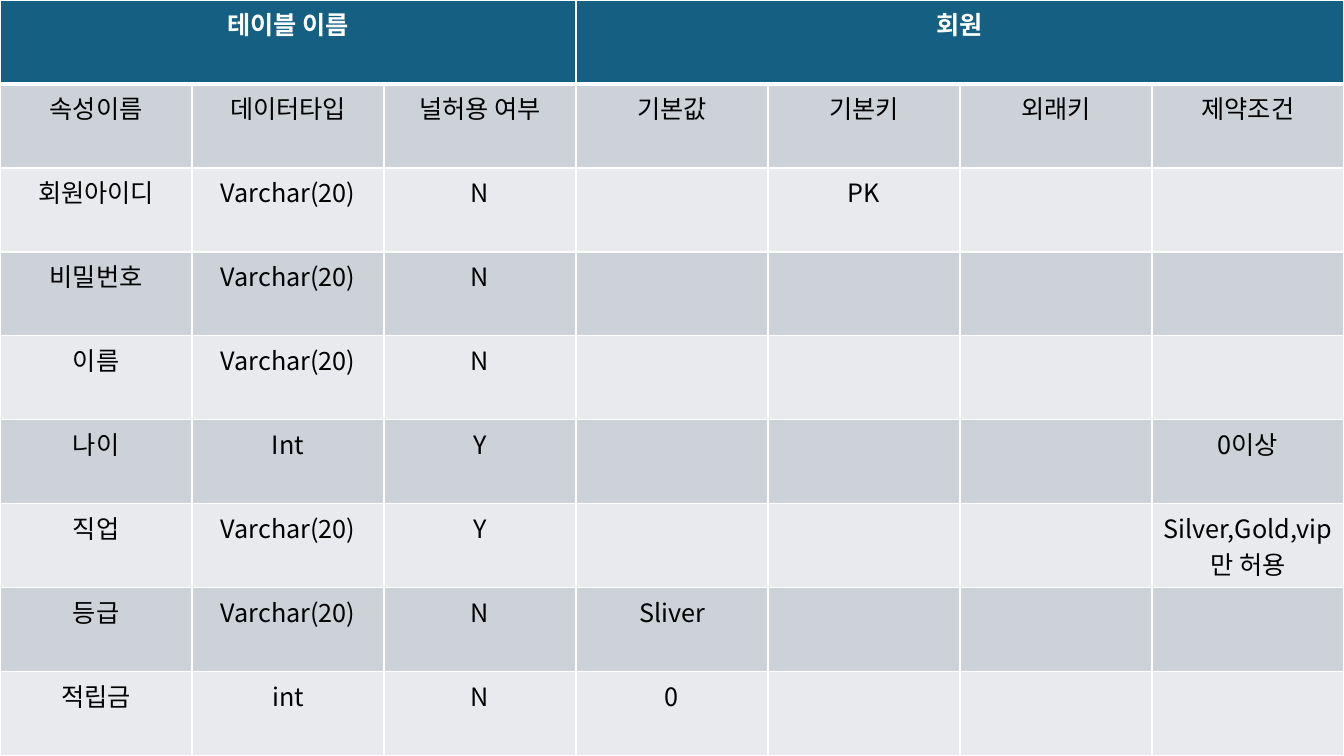
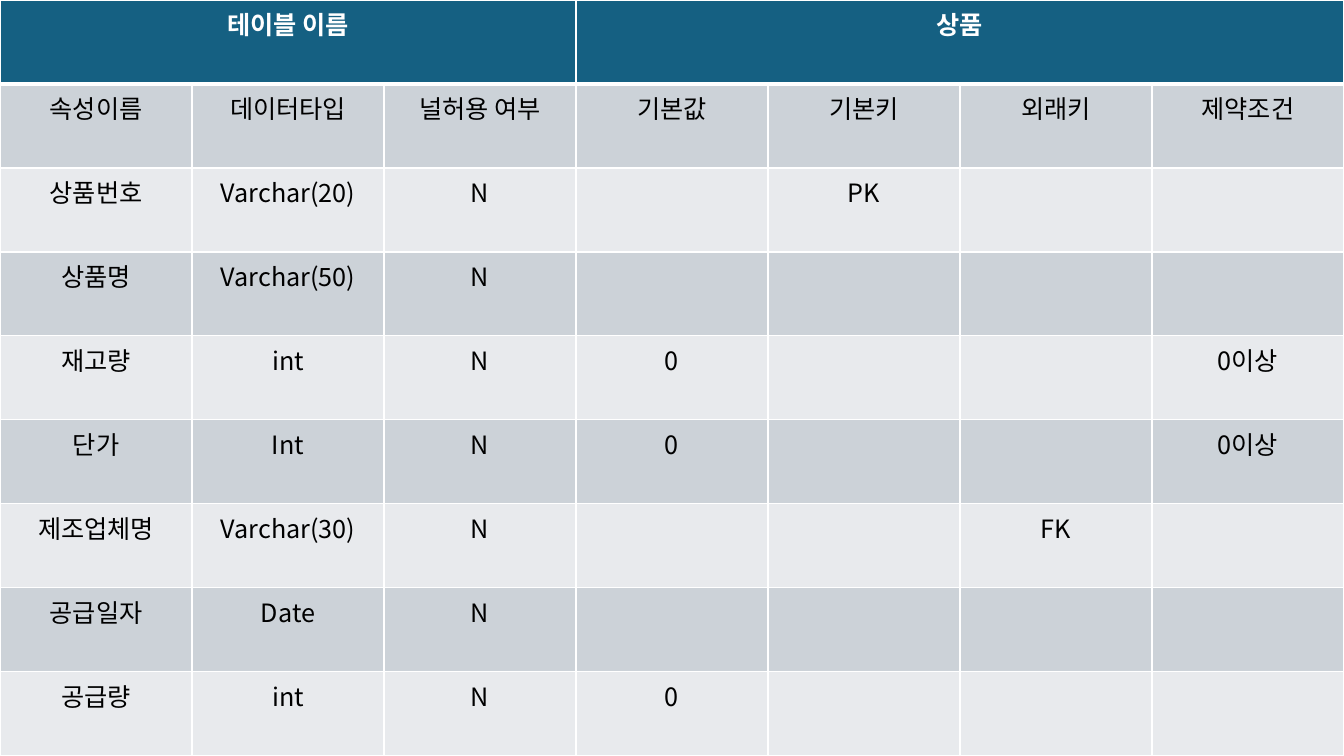
from dataclasses import dataclass
from itertools import cycle

from lxml import etree
from pptx import Presentation
from pptx import util as u
from pptx.dml import color
from pptx.enum import text
from pptx.oxml import ns


@dataclass(frozen=True)
class Theme:
    font: str = "Noto Sans CJK KR"
    size: int = 18
    header: str = "156082"
    bands: tuple[str, str] = ("CCD2D8", "E8EAED")
    light: str = "FFFFFF"
    dark: str = "000000"
    thin: int = 1
    thick: int = 3


@dataclass(frozen=True)
class CellStyle:
    fill: str
    ink: str
    bold: bool = False
    top: int = 1
    bottom: int = 1


@dataclass(frozen=True)
class Attribute:
    name: str
    data_type: str
    nullable: str
    default: str = ""
    primary: str = ""
    foreign: str = ""
    constraint: str = ""

    def values(self) -> tuple[str, ...]:
        return (self.name, self.data_type, self.nullable, self.default,
                self.primary, self.foreign, self.constraint)


@dataclass(frozen=True)
class Schema:
    name: str
    attributes: tuple[Attribute, ...]


THEME = Theme()
WIDTH, HEIGHT = u.Pt(960), u.Pt(540)
TITLE_LABEL, TITLE_SPAN = "테이블 이름", 3
HEADINGS = Attribute("속성이름", "데이터타입", "널허용 여부", "기본값",
                     "기본키", "외래키", "제약조건")

SCHEMAS = (
    Schema("회원", (
        Attribute("회원아이디", "Varchar(20)", "N", primary="PK"),
        Attribute("비밀번호", "Varchar(20)", "N"),
        Attribute("이름", "Varchar(20)", "N"),
        Attribute("나이", "Int", "Y", constraint="0이상"),
        Attribute("직업", "Varchar(20)", "Y", constraint="Silver,Gold,vip만 허용"),
        Attribute("등급", "Varchar(20)", "N", default="Sliver"),
        Attribute("적립금", "int", "N", default="0"),
    )),
    Schema("상품", (
        Attribute("상품번호", "Varchar(20)", "N", primary="PK"),
        Attribute("상품명", "Varchar(50)", "N"),
        Attribute("재고량", "int", "N", default="0", constraint="0이상"),
        Attribute("단가", "Int", "N", default="0", constraint="0이상"),
        Attribute("제조업체명", "Varchar(30)", "N", foreign="FK"),
        Attribute("공급일자", "Date", "N"),
        Attribute("공급량", "int", "N", default="0"),
    )),
)


def set_borders(cell, style: CellStyle) -> None:
    properties = cell._tc.get_or_add_tcPr()
    widths = {"lnL": THEME.thin, "lnR": THEME.thin,
              "lnT": style.top, "lnB": style.bottom}
    for side, width in widths.items():
        line = etree.SubElement(properties, ns.qn(f"a:{side}"), w=str(u.Pt(width)))
        fill = etree.SubElement(line, ns.qn("a:solidFill"))
        etree.SubElement(fill, ns.qn("a:srgbClr"), val=THEME.light)


def write_cell(cell, words: str, style: CellStyle) -> None:
    set_borders(cell, style)
    cell.fill.solid()
    cell.fill.fore_color.rgb = color.RGBColor.from_string(style.fill)
    para = cell.text_frame.paragraphs[0]
    para.alignment = text.PP_ALIGN.CENTER
    if not words:
        return
    span = para.add_run()
    span.text = words
    span.font.color.rgb = color.RGBColor.from_string(style.ink)
    formats = {"name": THEME.font, "size": u.Pt(THEME.size), "bold": style.bold}
    for attribute, value in formats.items():
        setattr(span.font, attribute, value)
    etree.SubElement(span._r.get_or_add_rPr(), ns.qn("a:ea"), typeface=THEME.font)


def write_row(table, row: int, values: tuple[str, ...], style: CellStyle) -> None:
    for column, words in enumerate(values):
        write_cell(table.cell(row, column), words, style)


def add_schema_slide(deck, schema: Schema) -> None:
    page = deck.slides.add_slide(deck.slide_layouts[6])
    body = (HEADINGS, *schema.attributes)
    column_count = len(HEADINGS.values())
    table = page.shapes.add_table(
        len(body) + 1, column_count, u.Pt(0), u.Pt(0), WIDTH, HEIGHT).table

    title = [""] * column_count
    title[0], title[TITLE_SPAN] = TITLE_LABEL, schema.name
    write_row(table, 0, tuple(title), CellStyle(
        THEME.header, THEME.light, bold=True, bottom=THEME.thick))
    for first, last in ((0, TITLE_SPAN - 1), (TITLE_SPAN, column_count - 1)):
        table.cell(0, first).merge(table.cell(0, last))

    for row, (attribute, band) in enumerate(zip(body, cycle(THEME.bands)), start=1):
        top = THEME.thick if row == 1 else THEME.thin
        write_row(table, row, attribute.values(),
                  CellStyle(band, THEME.dark, top=top))


def main() -> None:
    deck = Presentation()
    deck.slide_width, deck.slide_height = WIDTH, HEIGHT
    for schema in SCHEMAS:
        add_schema_slide(deck, schema)
    deck.save("out.pptx")


if __name__ == "__main__":
    main()
